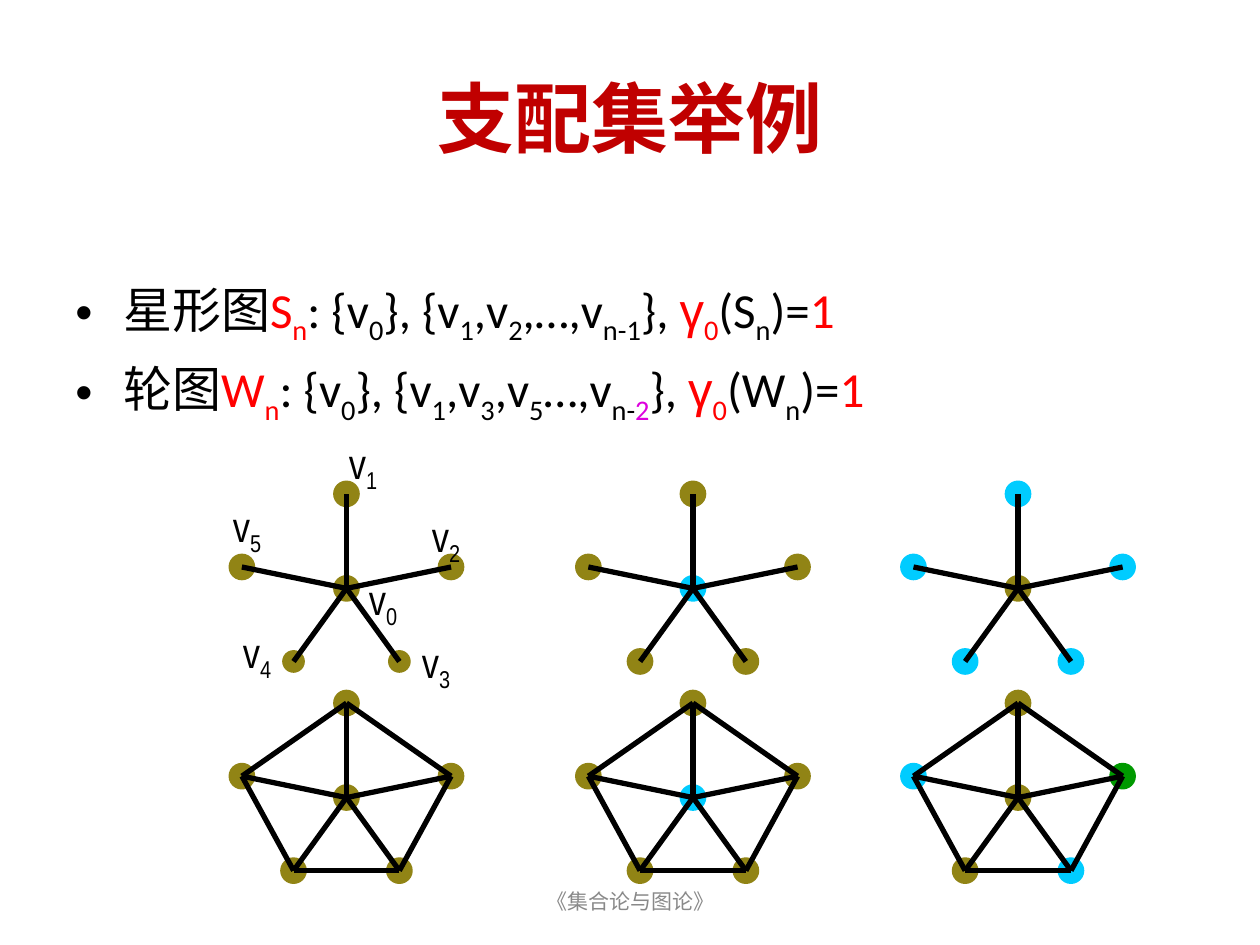
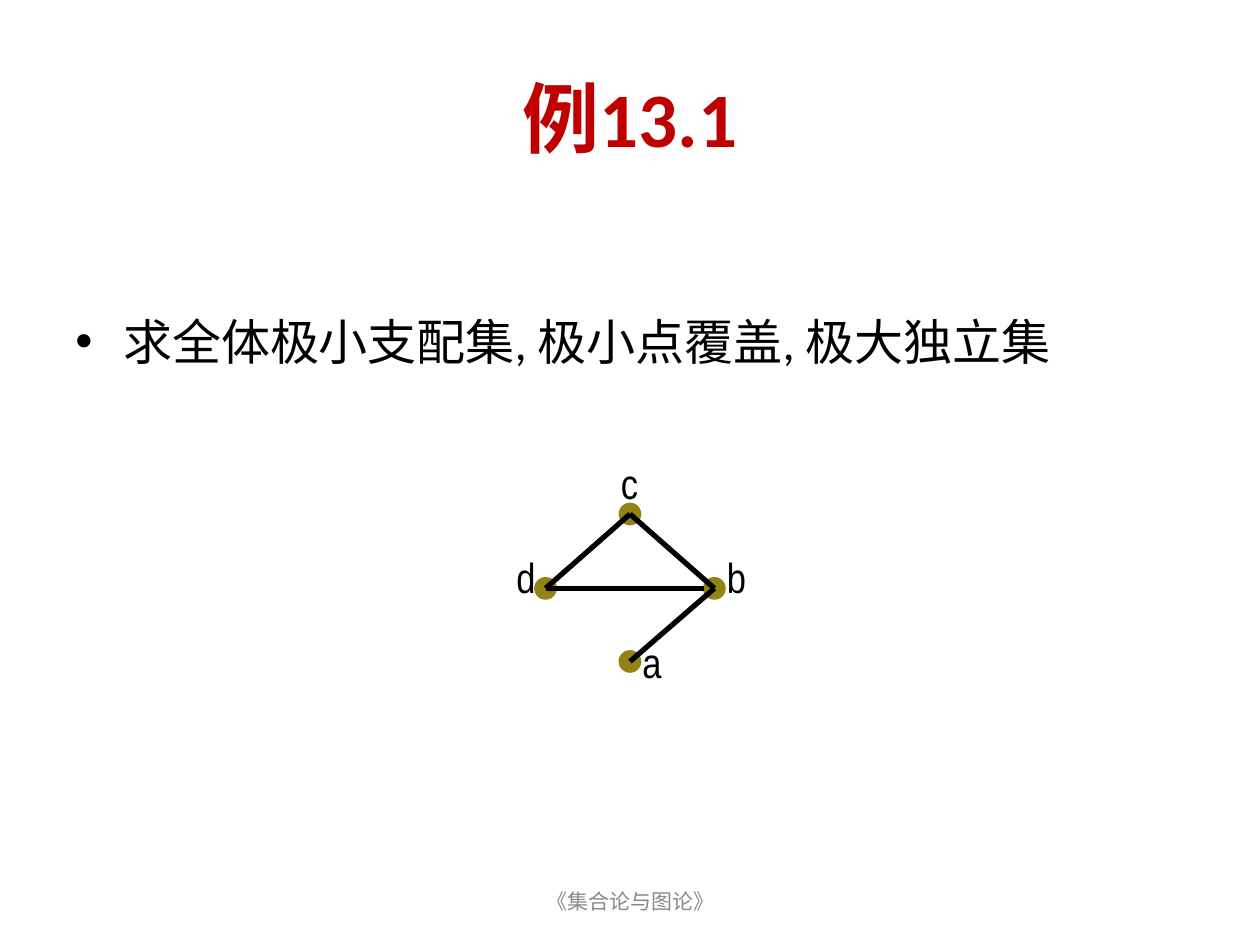
from dataclasses import dataclass

from lxml import etree
from pptx import Presentation
from pptx.dml.color import RGBColor
from pptx.enum.shapes import MSO_CONNECTOR, MSO_SHAPE
from pptx.enum.text import MSO_ANCHOR, MSO_AUTO_SIZE, PP_ALIGN
from pptx.oxml.ns import qn
from pptx.util import Inches, Pt

OVAL = MSO_SHAPE.OVAL
LINE = MSO_CONNECTOR.STRAIGHT
TOP, MIDDLE = MSO_ANCHOR.TOP, MSO_ANCHOR.MIDDLE
LEFT, CENTER = PP_ALIGN.LEFT, PP_ALIGN.CENTER
GROW, FIXED = MSO_AUTO_SIZE.SHAPE_TO_FIT_TEXT, MSO_AUTO_SIZE.NONE

COLORS = {
    "ink": "000000",
    "title": "C00000",
    "footer": "898989",
    "red": "FF0000",
    "pink": "DD00DD",
    "olive": "918415",
    "cyan": "00CCFF",
    "green": "009900",
}
DOT = 0.17
THICK, THIN = 3, 0.75


@dataclass(frozen=True)
class Run:
    text: str
    color: str = "ink"
    sub: bool = False
    face: str | None = None


@dataclass(frozen=True)
class Style:
    size: float
    face: str
    bold: bool = False
    align: int = LEFT
    anchor: int = TOP
    before: float = 0
    bullet: bool = False
    grow: bool = False


@dataclass(frozen=True)
class Dot:
    x: float
    y: float
    color: str = "olive"
    edge: float = THICK


@dataclass(frozen=True)
class Label:
    runs: list[Run]
    x: float
    y: float


TITLE = Style(44, "Calibri", bold=True, align=CENTER, anchor=MIDDLE)
BODY = Style(28, "Calibri", before=7, bullet=True)
FOOTER = Style(12, "Arial", align=CENTER, anchor=MIDDLE)
TAG = Style(24, "Arial Narrow", before=15, grow=True)


def rgb(name: str) -> RGBColor:
    return RGBColor.from_string(COLORS[name])


# Text
def add_bullet(para) -> None:
    props = para._p.get_or_add_pPr()
    props.set("marL", str(Inches(0.38)))
    props.set("indent", str(-Inches(0.38)))
    tint = etree.SubElement(props, qn("a:buClr"))
    etree.SubElement(tint, qn("a:srgbClr")).set("val", COLORS["ink"])
    etree.SubElement(props, qn("a:buFont")).set("typeface", "Arial")
    etree.SubElement(props, qn("a:buChar")).set("char", "•")


def add_text(slide, box: tuple, lines: list[list[Run]], style: Style) -> None:
    frame = slide.shapes.add_textbox(*map(Inches, box)).text_frame
    frame.word_wrap = True
    frame.auto_size = GROW if style.grow else FIXED
    frame.vertical_anchor = style.anchor
    for i, line in enumerate(lines):
        para = frame.add_paragraph() if i else frame.paragraphs[0]
        para.alignment = style.align
        para.space_before = Pt(style.before)
        if style.bullet:
            add_bullet(para)
        for part in line:
            run = para.add_run()
            run.text = part.text
            font = run.font
            font.name = part.face or style.face
            font.size = Pt(style.size)
            font.bold = style.bold
            font.color.rgb = rgb(part.color)
            if part.sub:
                run._r.get_or_add_rPr().set("baseline", "-25000")


def sub(text: str, color: str = "ink") -> Run:
    return Run(text, color, sub=True)


def graph_line(name: str, sign: str, sets: list[Run]) -> list[Run]:
    """One bullet: the graph, its dominating sets and its number."""
    return [
        Run(name), Run(sign, "red"), sub("n", "red"),
        Run(": {v"), sub("0"), Run("}, {v"), *sets, Run("}, "),
        Run("γ", "red", face="Arial"), sub("0", "red"),
        Run("(" + sign), sub("n"), Run(")="), Run("1", "red"),
    ]


# Graphs
def add_dot(slide, dot: Dot) -> None:
    left, top = dot.x - DOT / 2, dot.y - DOT / 2
    shape = slide.shapes.add_shape(OVAL, *map(Inches, (left, top, DOT, DOT)))
    shape.shadow.inherit = False
    shape.fill.solid()
    shape.fill.fore_color.rgb = rgb(dot.color)
    shape.line.color.rgb = rgb(dot.color)
    shape.line.width = Pt(dot.edge)


def add_edge(slide, start: Dot, end: Dot) -> None:
    ends = map(Inches, (start.x, start.y, end.x, end.y))
    edge = slide.shapes.add_connector(LINE, *ends)
    edge.line.color.rgb = rgb("ink")
    edge.line.width = Pt(THICK)
    etree.SubElement(edge._element.spPr, qn("a:effectLst"))


def add_graph(slide, dots: list[Dot], edges: list[tuple[Dot, Dot]]) -> None:
    for dot in dots:
        add_dot(slide, dot)
    for start, end in edges:
        add_edge(slide, start, end)


def add_labels(slide, labels: list[Label], width: float, height: float) -> None:
    for label in labels:
        box = (label.x, label.y, width, height)
        add_text(slide, box, [label.runs], TAG)


# Shared frame of every slide
def add_slide(deck, title: str, box: tuple, lines: list[list[Run]]):
    slide = deck.slides.add_slide(deck.slide_layouts[6])
    add_text(slide, (0.5, 0.3, 9, 1.25), [[Run(title, "title")]], TITLE)
    add_text(slide, box, lines, BODY)
    footer = [Run("《集合论与图论》", "footer")]
    add_text(slide, (3.42, 6.95, 3.17, 0.4), [footer], FOOTER)
    return slide


# Slide 1: stars above, wheels below; vertices v0 to v5 go clockwise
SPOTS = [(0, 0), (0, -0.75), (0.83, -0.17), (0.42, 0.58), (-0.42, 0.58),
         (-0.83, -0.17)]
COLUMNS = (2.75, 5.5, 8.08)
STAR_Y, WHEEL_Y = 4.67, 6.33
PLAIN = ["olive"] * 6
HUB = ["cyan"] + ["olive"] * 5
LEAVES = ["olive"] + ["cyan"] * 5
RIM = ["olive", "olive", "green", "cyan", "olive", "cyan"]
ROWS = [(STAR_Y, False, (PLAIN, HUB, LEAVES)),
        (WHEEL_Y, True, (PLAIN, HUB, RIM))]


def build_sets(deck) -> None:
    star = [sub("1"), Run(",v"), sub("2"), Run(",…,v"), sub("n-1")]
    wheel = [sub("1"), Run(",v"), sub("3"), Run(",v"), sub("5"),
             Run("…,v"), sub("n-"), sub("2", "pink")]
    lines = [graph_line("星形图", "S", star), graph_line("轮图", "W", wheel)]
    slide = add_slide(deck, "支配集举例", (0.5, 2.17, 9, 1.42), lines)

    for y, rim, paints in ROWS:
        for x, paint in zip(COLUMNS, paints):
            small = (3, 4) if not rim and x == COLUMNS[0] else ()
            dots = [
                Dot(x + dx, y + dy, color, THIN if i in small else THICK)
                for i, ((dx, dy), color) in enumerate(zip(SPOTS, paint))
            ]
            hub, *outer = dots
            edges = [(hub, dot) for dot in outer]
            if rim:
                edges += zip(outer, outer[1:] + outer[:1])
            add_graph(slide, dots, edges)

    places = [(2.83, 4.5), (2.67, 3.42), (3.33, 4), (3.25, 5), (1.83, 4.92),
              (1.75, 3.92)]
    labels = [Label([Run("v"), sub(str(i))], x, y)
              for i, (x, y) in enumerate(places)]
    add_labels(slide, labels, 0.58, 0.56)


# Slide 2: a triangle with a tail
def build_task(deck) -> None:
    lines = [[Run("求全体极小支配集, 极小点覆盖, 极大独立集")]]
    slide = add_slide(deck, "例13.1", (0.5, 2.42, 9.17, 4.25), lines)

    a = Dot(5, 5.25, edge=THIN)
    b = Dot(5.67, 4.67, edge=THIN)
    c = Dot(5, 4.08, edge=THIN)
    d = Dot(4.33, 4.67, edge=THIN)
    side = Dot(b.x - DOT / 2, b.y)
    add_graph(slide, [c, d, b, a], [(d, c), (b, c), (d, side), (a, b)])

    places = {"a": (5, 5), "b": (5.67, 4.33), "c": (4.83, 3.58),
              "d": (4, 4.33)}
    labels = [Label([Run(name)], x, y) for name, (x, y) in places.items()]
    add_labels(slide, labels, 0.5, 0.5)


def main() -> None:
    deck = Presentation()
    deck.slide_width, deck.slide_height = Inches(10), Inches(7.5)
    build_sets(deck)
    build_task(deck)
    deck.save("out.pptx")


if __name__ == "__main__":
    main()
